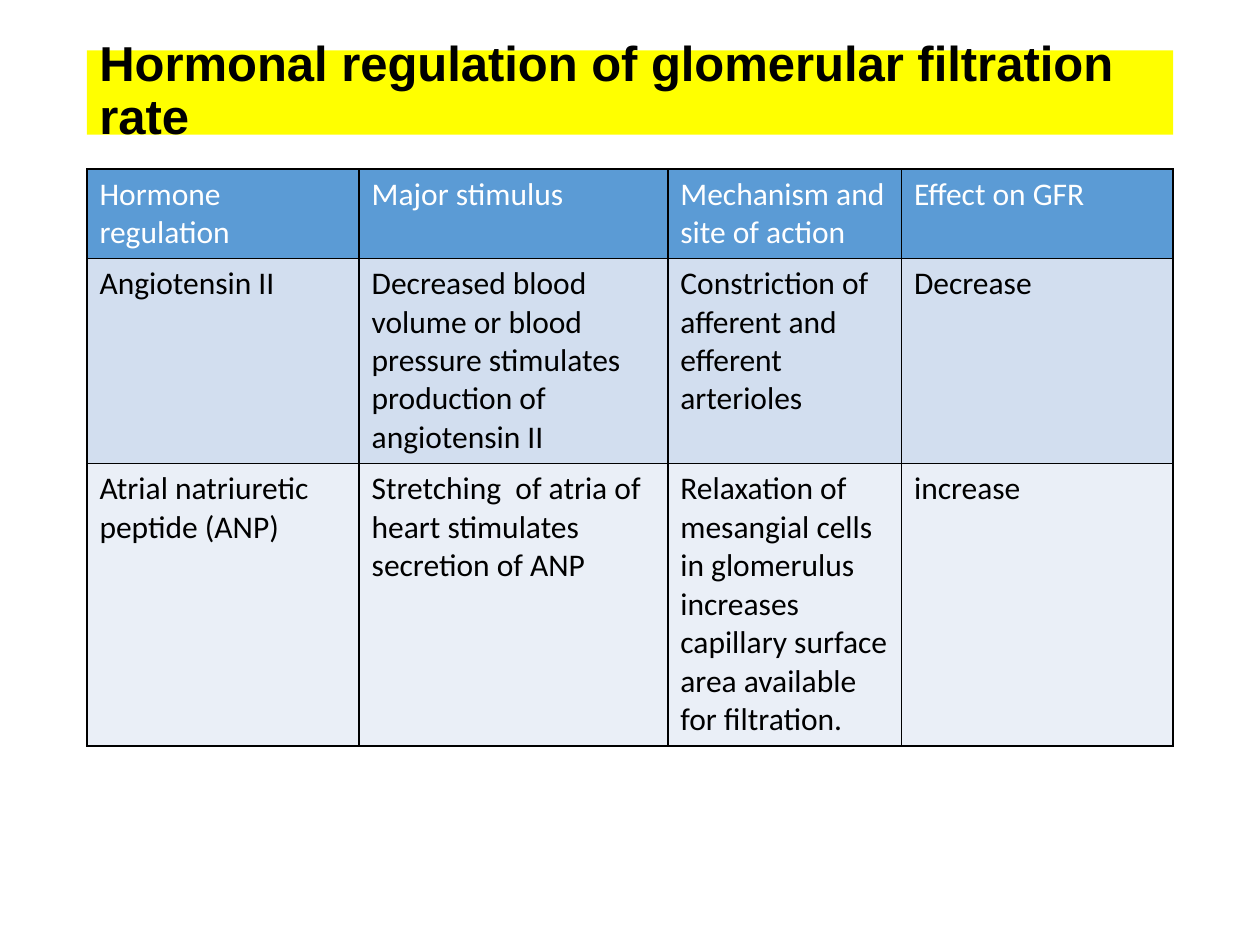
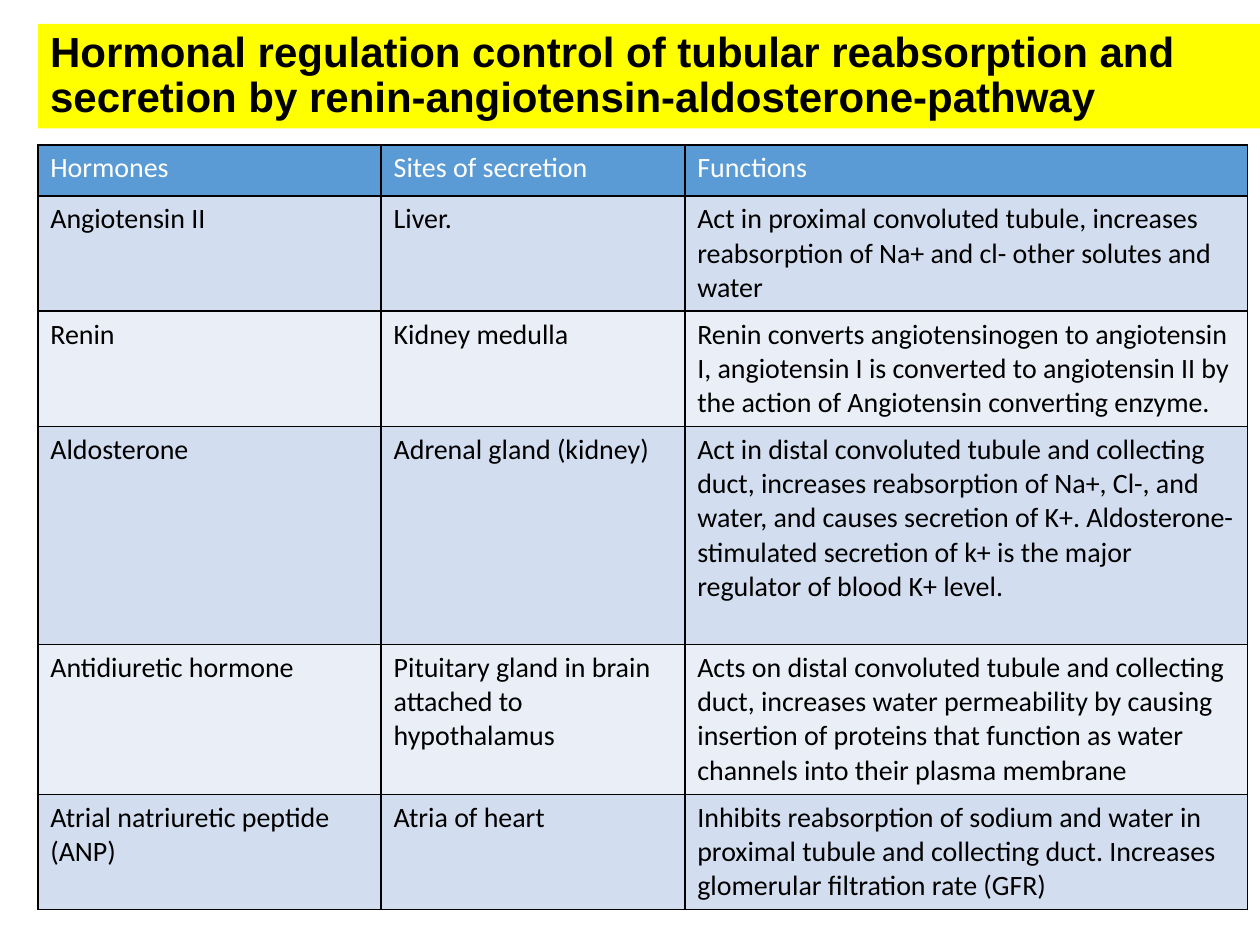
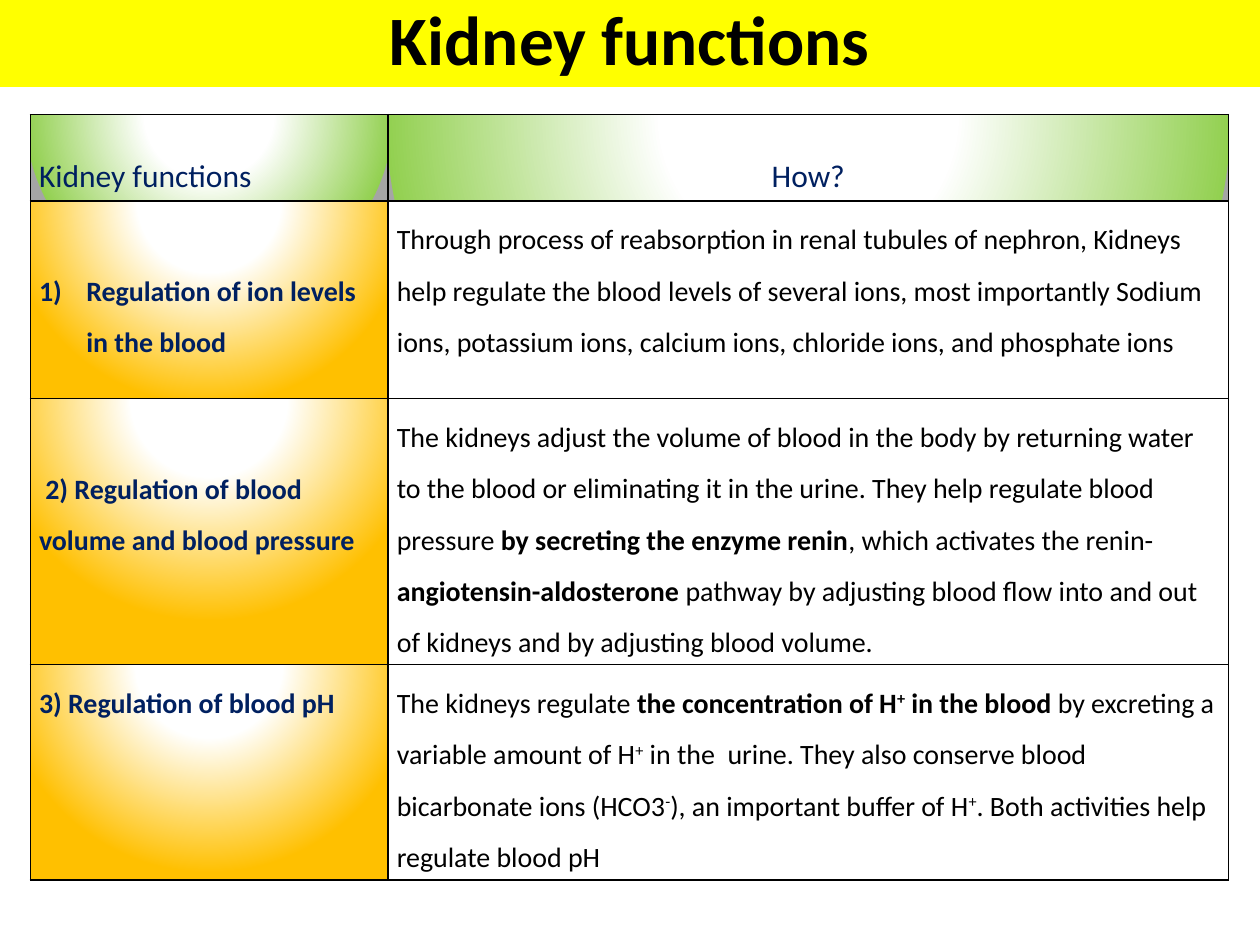
from lxml import etree
from pptx import Presentation
from pptx.dml.color import RGBColor
from pptx.enum.text import MSO_ANCHOR, PP_ALIGN
from pptx.oxml.ns import qn
from pptx.util import Inches, Pt

MIDDLE = MSO_ANCHOR.MIDDLE
LEFT, CENTER = PP_ALIGN.LEFT, PP_ALIGN.CENTER

BLACK = RGBColor(0x00, 0x00, 0x00)
WHITE = RGBColor(0xFF, 0xFF, 0xFF)
YELLOW = RGBColor(0xFF, 0xFF, 0x00)
NAVY = RGBColor(0x00, 0x20, 0x60)
BLUE = RGBColor(0x5B, 0x9B, 0xD5)
BAND_DARK = RGBColor(0xD2, 0xDE, 0xEF)
BAND_LIGHT = RGBColor(0xEA, 0xEF, 0xF7)
GREEN = RGBColor(0x92, 0xD0, 0x50)
GREY = RGBColor(0xA5, 0xA5, 0xA5)
AMBER = RGBColor(0xFF, 0xC0, 0x00)

# Radial fills: (position in percent, colour)
GREEN_GLOW = [(35, WHITE), (100, GREEN), (100, GREY)]
AMBER_GLOW = [(0, WHITE), (35, WHITE), (100, AMBER)]

# Run styles
PLAIN, BOLD, SUP, BOLD_SUP = "", "b", "^", "b^"

# The slide is a grid of 100 columns by 75 rows
GRID_COLS, GRID_ROWS = 100, 75


def sub(parent, tag, **attrs):
    el = etree.SubElement(parent, qn(tag))
    for name, value in attrs.items():
        el.set(name, str(value))
    return el


class Deck:
    body_font = "Calibri"

    def __init__(self):
        self.prs = Presentation()
        self.prs.slide_width, self.prs.slide_height = Inches(10), Inches(7.5)
        self.s = None

    def x(self, cols):
        return int(self.prs.slide_width * cols / GRID_COLS)

    def y(self, rows):
        return int(self.prs.slide_height * rows / GRID_ROWS)

    def slide(self):
        self.s = self.prs.slides.add_slide(self.prs.slide_layouts[6])

    def text(self, p, runs, size, color, font=body_font):
        """Fill a paragraph from (text, style) runs."""
        for words, style in runs:
            r = p.add_run()
            r.text = words
            r.font.name, r.font.size = font, Pt(size)
            r.font.bold = BOLD in style
            r.font.color.rgb = color
            if SUP in style:
                r._r.get_or_add_rPr().set("baseline", "30000")

    def title(self, words, left, top, width, height, size, font="Arial", align=LEFT):
        """Yellow band with a bold heading."""
        sp = self.s.shapes.add_textbox(self.x(left), self.y(top), self.x(width), self.y(height))
        sp.fill.solid()
        sp.fill.fore_color.rgb = YELLOW
        tf = sp.text_frame
        tf.word_wrap, tf.vertical_anchor = True, MIDDLE
        p = tf.paragraphs[0]
        p.alignment, p.line_spacing = align, 0.9
        self.text(p, [(words, BOLD)], size, BLACK, font)

    def table(self, left, top, widths, heights):
        """Empty table, sized by its column widths and row heights."""
        frame = self.s.shapes.add_table(len(heights), len(widths), self.x(left), self.y(top),
                                        self.x(sum(widths)), self.y(sum(heights)))
        tbl = frame.table
        tbl.first_row = tbl.horz_banding = False
        for col, width in zip(tbl.columns, widths):
            col.width = self.x(width)
        for row, height in zip(tbl.rows, heights):
            row.height = self.y(height)
        return tbl

    def cell(self, cell, runs, size, color, fill=None):
        """Bordered cell; fill is a colour, a list of radial stops or None."""
        tcPr = cell._tc.get_or_add_tcPr()
        for side in ("a:lnL", "a:lnR", "a:lnT", "a:lnB"):
            ln = sub(tcPr, side, w=Pt(1))
            sub(sub(ln, "a:solidFill"), "a:srgbClr", val=BLACK)
        if fill is None:
            cell.fill.background()
        elif isinstance(fill, list):
            self.glow(tcPr, fill)
        else:
            cell.fill.solid()
            cell.fill.fore_color.rgb = fill
        p = cell.text_frame.paragraphs[0]
        self.text(p, runs, size, color)
        return p

    def glow(self, tcPr, stops):
        grad = sub(tcPr, "a:gradFill", rotWithShape=1)
        gs_list = sub(grad, "a:gsLst")
        for pos, color in stops:
            sub(sub(gs_list, "a:gs", pos=pos * 1000), "a:srgbClr", val=color)
        path = sub(grad, "a:path")
        path.set("path", "circle")
        sub(path, "a:fillToRect", l=50000, t=-80000, r=50000, b=180000)

    def banded_table(self, left, top, widths, heights, rows, size):
        """Blue header row over alternating pale rows."""
        tbl = self.table(left, top, widths, heights)
        for i, row in enumerate(rows):
            fill = BLUE if i == 0 else BAND_DARK if i % 2 else BAND_LIGHT
            for j, words in enumerate(row):
                self.cell(tbl.cell(i, j), [(words, PLAIN)], size, BLACK if i else WHITE, fill)

    def glow_cell(self, cell, runs, size, color, fill=None, drop=0.0, spacing=1.5):
        """Cell with narrow margins whose text starts drop grid rows lower."""
        p = self.cell(cell, runs, size, color, fill)
        p.line_spacing = spacing
        cell.margin_left = cell.margin_right = self.x(0.7)
        cell.margin_top, cell.margin_bottom = self.y(0.4 + drop), self.y(0.4)
        return p

    def number(self, p):
        """Automatic 1) numbering with a hanging indent."""
        pPr = p._p.get_or_add_pPr()
        indent = self.x(3.75)
        pPr.set("marL", str(indent))
        pPr.set("indent", str(-indent))
        sub(pPr, "a:buFont", typeface="+mj-lt")
        sub(pPr, "a:buAutoNum", type="arabicParenR")


FILTRATION = [
    ("Hormone regulation", "Major stimulus", "Mechanism and site of action", "Effect on GFR"),
    ("Angiotensin II",
     "Decreased blood volume or blood pressure stimulates production of angiotensin II",
     "Constriction of afferent and efferent arterioles", "Decrease"),
    ("Atrial natriuretic peptide (ANP)",
     "Stretching  of atria of heart stimulates secretion of ANP",
     "Relaxation of mesangial cells in glomerulus increases capillary surface area "
     "available for filtration.", "increase"),
]

REABSORPTION = [
    ("Hormones", "Sites of secretion", "Functions"),
    ("Angiotensin II", "Liver.",
     "Act in proximal convoluted tubule, increases reabsorption of Na+ and cl- other "
     "solutes and water"),
    ("Renin", "Kidney medulla",
     "Renin converts angiotensinogen to angiotensin I, angiotensin I is converted to "
     "angiotensin II by the action of Angiotensin converting enzyme."),
    ("Aldosterone", "Adrenal gland (kidney)",
     "Act in distal convoluted tubule and collecting duct, increases reabsorption of Na+, "
     "Cl-, and water, and causes secretion of K+. Aldosterone-stimulated secretion of k+ is "
     "the major regulator of blood K+ level."),
    ("Antidiuretic hormone", "Pituitary gland in brain attached to hypothalamus",
     "Acts on distal convoluted tubule and collecting duct, increases water permeability by "
     "causing insertion of proteins that function as water channels into their plasma membrane"),
    ("Atrial natriuretic peptide (ANP)", "Atria of heart",
     "Inhibits reabsorption of sodium and water in proximal tubule and collecting duct. "
     "Increases glomerular filtration rate (GFR)"),
]

# Function, drop of its text in grid rows, explanation as runs
KIDNEY = [
    ("Regulation of ion levels in the blood", 4.1, [
        ("Through process of reabsorption in renal tubules of nephron, Kidneys help regulate "
         "the blood levels of several ions, most importantly Sodium ions, potassium ions, "
         "calcium ions, chloride ions, and phosphate ions", PLAIN)]),
    (" 2) Regulation of blood volume and blood pressure", 4.1, [
        ("The kidneys adjust the volume of blood in the body by returning water to the blood "
         "or eliminating it in the urine. They help regulate blood pressure ", PLAIN),
        ("by secreting the enzyme renin", BOLD),
        (", which activates the renin-", PLAIN),
        ("angiotensin-aldosterone", BOLD),
        (" pathway by adjusting blood flow into and out of kidneys and by adjusting blood "
         "volume.", PLAIN)]),
    ("3) Regulation of blood pH", 0, [
        ("The kidneys regulate ", PLAIN),
        ("the concentration of H", BOLD), ("+", BOLD_SUP), (" in the blood ", BOLD),
        ("by excreting a variable amount of H", PLAIN), ("+", SUP),
        (" in the  urine. They also conserve blood bicarbonate ions (HCO3", PLAIN), ("-", SUP),
        ("), an important buffer of H", PLAIN), ("+", SUP),
        (". Both activities help regulate blood pH", PLAIN)]),
]


def main():
    d = Deck()

    # Filtration rate
    d.slide()
    d.title("Hormonal regulation of glomerular filtration rate", 6.9, 4, 86.2, 6.7, 28)
    d.banded_table(6.9, 13.4, [21.6, 24.5, 18.55, 21.55], [7.1, 16.3, 22.4], FILTRATION, 18)

    # Tubular reabsorption
    d.slide()
    d.title("Hormonal regulation control of tubular reabsorption and secretion by "
            "renin-angiotensin-aldosterone-pathway", 3, 1.9, 97, 8.3, 24)
    d.banded_table(3, 11.5, [27.25, 24.1, 44.65], [4.05, 9.15, 9.15, 17.3, 11.9, 9.15],
                   REABSORPTION, 16)

    # Kidney functions
    d.slide()
    tbl = d.table(2.4, 9.1, [28.4, 66.7], [6.85, 15.7, 21.1, 17.1])
    for j, (head, align) in enumerate([("Kidney functions", LEFT), ("How?", CENTER)]):
        p = d.glow_cell(tbl.cell(0, j), [(head, PLAIN)], 18, NAVY, GREEN_GLOW, 3, 1.0)
        p.alignment = align
    for i, (function, drop, how) in enumerate(KIDNEY, start=1):
        p = d.glow_cell(tbl.cell(i, 0), [(function, BOLD)], 16, NAVY, AMBER_GLOW, drop)
        if i == 1:
            d.number(p)
        d.glow_cell(tbl.cell(i, 1), how, 16, BLACK)
    d.title("Kidney functions", 0, 0, 100, 6.9, 39.6, d.body_font, CENTER)

    d.prs.save("out.pptx")


if __name__ == "__main__":
    main()
